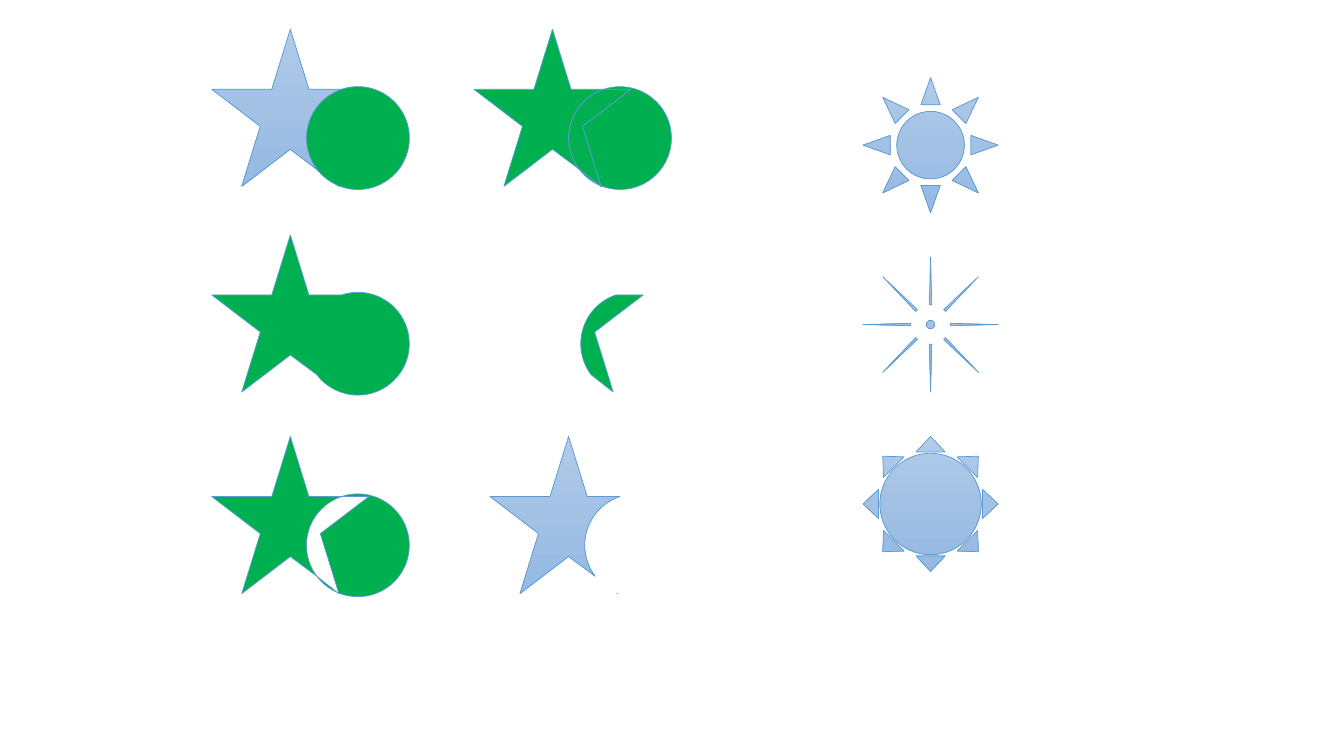
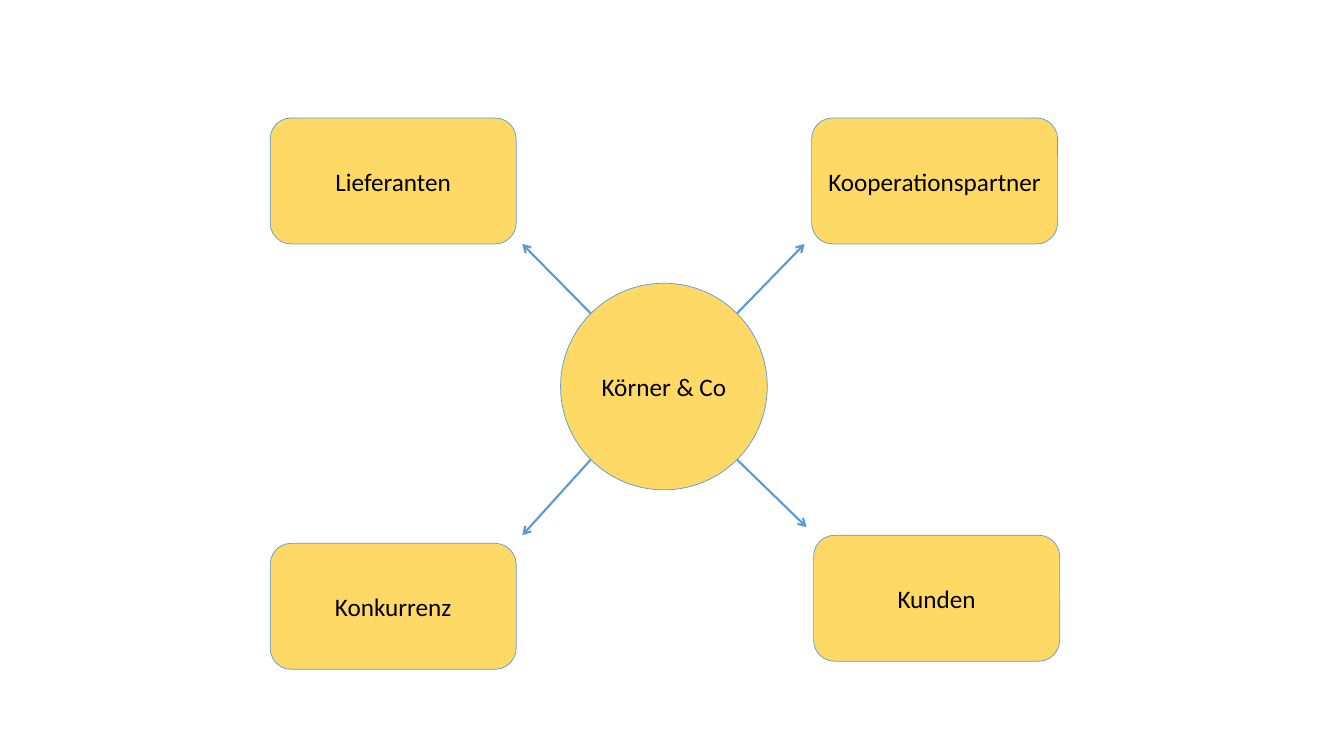
from copy import deepcopy
from math import asin, ceil, cos, degrees, floor, radians, sin, sqrt, tan

from lxml.etree import Element, SubElement
from pptx import Presentation
from pptx.dml.color import RGBColor
from pptx.enum.shapes import MSO_CONNECTOR, MSO_SHAPE
from pptx.enum.text import MSO_ANCHOR, PP_ALIGN
from pptx.oxml.ns import qn
from pptx.util import Inches, Pt

BLUE = RGBColor(0x5B, 0x9B, 0xD5)
GREEN = RGBColor(0x00, 0xB0, 0x50)
YELLOW = RGBColor(0xFF, 0xD9, 0x66)
BLACK = RGBColor(0x00, 0x00, 0x00)
SKY = (
    RGBColor(0xB1, 0xCB, 0xE9),
    RGBColor(0xA3, 0xC1, 0xE5),
    RGBColor(0x93, 0xB9, 0xE4),
)
FONT = "Calibri"

STAR_SIZE = 1.56
NEAR = (3 - sqrt(5)) / 2
FAR = 1 - NEAR
STAR = [(x * STAR_SIZE, y * STAR_SIZE) for x, y in (
    (0.5, 0), (FAR, NEAR), (1, NEAR), (1 - FAR / 2, FAR), (1 - NEAR / 2, 1),
    (0.5, 2 * NEAR), (NEAR / 2, 1), (FAR / 2, FAR), (0, NEAR), (NEAR, NEAR),
)]
ARM, NOTCH, TIP = STAR[2:5]
CENTER_X, CENTER_Y, RADIUS = 1.45, 1.08, 0.51
UPPER_CUT = 180 + degrees(asin((CENTER_Y - ARM[1]) / RADIUS))
LOWER_CUT = 143
TIP_CUT = 111


def on_circle(angle, along=0):
    turn = radians(angle)
    return (CENTER_X + RADIUS * (cos(turn) - along * sin(turn)),
            CENTER_Y + RADIUS * (sin(turn) + along * cos(turn)))


def arc(start, end):
    low, high = min(start, end), max(start, end)
    quarters = [90 * i for i in range(floor(low / 90) + 1, ceil(high / 90))]
    stops = sorted([low, *quarters, high], reverse=start > end)
    pieces = [on_circle(start)]
    for first, last in zip(stops, stops[1:]):
        pull = 4 / 3 * tan(radians(last - first) / 4)
        pieces.append([on_circle(first, pull), on_circle(last, -pull), on_circle(last)])
    return pieces


UNION = STAR[:2] + arc(UPPER_CUT, LOWER_CUT + 360) + STAR[5:]
STAR_REST = STAR[:2] + arc(UPPER_CUT, LOWER_CUT) + STAR[5:]
CIRCLE_REST = arc(UPPER_CUT, TIP_CUT + 360) + [TIP, NOTCH, ARM]
OVERLAP = [ARM, NOTCH, TIP] + arc(LOWER_CUT, UPPER_CUT)
SLIVER = arc(LOWER_CUT, TIP_CUT) + [TIP]
SPECK = [on_circle(TIP_CUT), (TIP[0], on_circle(TIP_CUT)[1]), TIP]


def paint(shape, fill):
    shape.shadow.inherit = False
    shape.line.color.rgb = BLUE
    shape.line.width = Pt(0.5)
    if fill is not SKY:
        shape.fill.solid()
        shape.fill.fore_color.rgb = fill
        return
    shape.fill.gradient()
    shape.fill.gradient_angle = 270
    stop_list = shape.element.spPr.find(".//" + qn("a:gsLst"))
    stop_list.insert(1, deepcopy(stop_list[0]))
    for index, (stop, color) in enumerate(zip(shape.fill.gradient_stops, SKY)):
        stop.color.rgb = color
        stop.position = index / 2


def add_preset(slide, kind, left, top, width, height, fill):
    shape = slide.shapes.add_shape(
        kind, Inches(left), Inches(top), Inches(width), Inches(height))
    paint(shape, fill)
    return shape


def bend(shape, sizes):
    lines = iter(list(shape.element.iter(qn("a:lnTo"))))
    for size in sizes:
        group = [next(lines) for _ in range(size)]
        if size == 3:
            curve = Element(qn("a:cubicBezTo"))
            group[0].addprevious(curve)
            for line in group:
                curve.append(line[0])
                line.getparent().remove(line)


def add_outline(slide, left, top, contours, fill):
    builder = None
    sizes = []
    for start, *parts in contours:
        groups = [part if isinstance(part, list) else [part] for part in parts]
        sizes += [len(group) for group in groups]
        origin = (Inches(start[0]), Inches(start[1]))
        if builder is None:
            builder = slide.shapes.build_freeform(*origin)
        else:
            builder.move_to(*origin)
        builder.add_line_segments(
            [(Inches(x), Inches(y)) for group in groups for x, y in group], close=True)
    shape = builder.convert_to_shape(Inches(left), Inches(top))
    bend(shape, sizes)
    paint(shape, fill)


def add_star_and_circle(slide, left, top):
    add_preset(slide, MSO_SHAPE.STAR_5_POINT, left, top, STAR_SIZE, STAR_SIZE, SKY)
    add_preset(slide, MSO_SHAPE.FLOWCHART_CONNECTOR, left + CENTER_X - RADIUS,
               top + CENTER_Y - RADIUS, 2 * RADIUS, 2 * RADIUS, GREEN)


def add_merged_shapes(slide, left, right, rows):
    first, second, third = rows
    add_star_and_circle(slide, left, first)
    add_outline(slide, left, second, [UNION], GREEN)
    add_outline(slide, left, third, [SPECK, SLIVER, CIRCLE_REST, STAR_REST], GREEN)
    add_outline(slide, right + 0.16, third, [SPECK, STAR_REST], SKY)
    add_outline(slide, right + 0.12, second, [OVERLAP], GREEN)
    for fragment in (OVERLAP, STAR_REST, CIRCLE_REST, SLIVER, SPECK):
        add_outline(slide, right, first, [fragment], GREEN)


def add_suns(slide, left, top, size, pitch):
    for row, adjustment in enumerate((0.25, 0.47, 0.125)):
        sun = add_preset(slide, MSO_SHAPE.SUN, left, top + row * pitch, size, size, SKY)
        if row:
            sun.adjustments[0] = adjustment


def add_node(slide, kind, left, top, width, height, text):
    node = add_preset(slide, kind, left, top, width, height, YELLOW)
    frame = node.text_frame
    frame.word_wrap = True
    frame.vertical_anchor = MSO_ANCHOR.MIDDLE
    paragraph = frame.paragraphs[0]
    paragraph.text = text
    paragraph.alignment = PP_ALIGN.CENTER
    paragraph.font.name = FONT
    paragraph.font.size = Pt(18)
    paragraph.font.color.rgb = BLACK


def add_arrow(slide, start, end):
    arrow = slide.shapes.add_connector(
        MSO_CONNECTOR.STRAIGHT, *(Inches(value) for value in start + end))
    arrow.line.color.rgb = BLUE
    arrow.line.width = Pt(1.5)
    outline = arrow.element.spPr.find(qn("a:ln"))
    SubElement(outline, qn("a:tailEnd"), type="arrow")
    SubElement(arrow.element.spPr, qn("a:effectLst"))


def add_network(slide, left, top, diameter, hub, partners):
    width, height = 2.44, 1.25
    radius = diameter / 2
    reach = radius * sqrt(0.5)
    for text, x, y, *_ in partners:
        add_node(slide, MSO_SHAPE.ROUNDED_RECTANGLE, x, y, width, height, text)
    add_node(slide, MSO_SHAPE.OVAL, left, top, diameter, diameter, hub)
    for _, x, y, side, level in partners:
        start = (left + radius + side * reach, top + radius + level * reach)
        end = (x - 0.07 if side > 0 else x + width + 0.06,
               y - 0.08 if level > 0 else y + height)
        add_arrow(slide, start, end)


def main():
    presentation = Presentation()
    presentation.slide_width = Inches(13.33)
    presentation.slide_height = Inches(7.5)
    blank = presentation.slide_layouts[6]

    shapes_slide = presentation.slides.add_slide(blank)
    add_merged_shapes(shapes_slide, 2.1, 4.7, (0.29, 2.33, 4.33))
    add_suns(shapes_slide, 8.56, 0.77, 1.34, 1.78)

    network_slide = presentation.slides.add_slide(blank)
    add_network(network_slide, 5.56, 2.81, 2.05, "Körner & Co", (
        ("Kooperationspartner", 8.05, 1.17, 1, -1),
        ("Kunden", 8.07, 5.31, 1, 1),
        ("Lieferanten", 2.68, 1.17, -1, -1),
        ("Konkurrenz", 2.68, 5.39, -1, 1),
    ))
    presentation.save("out.pptx")


if __name__ == "__main__":
    main()
